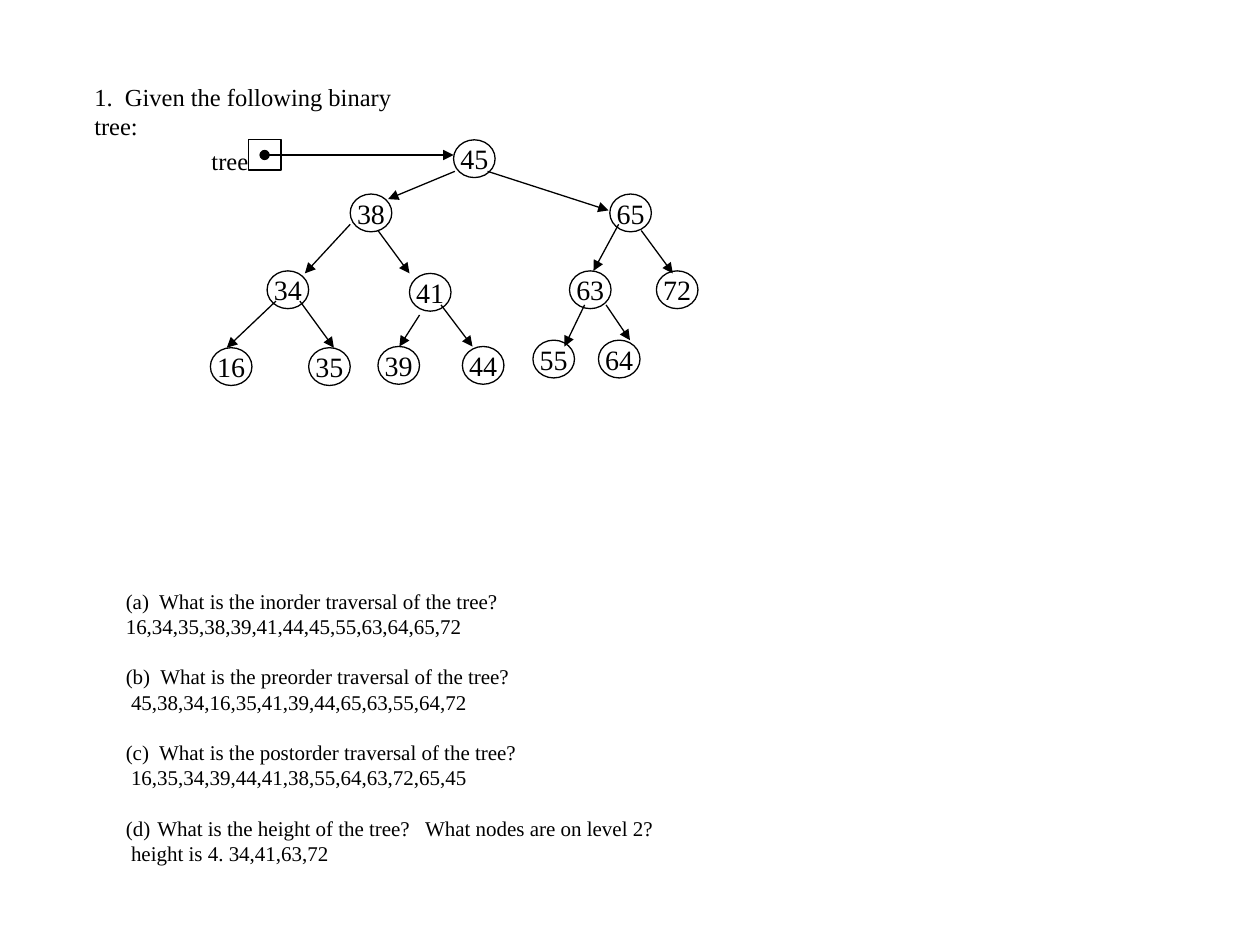
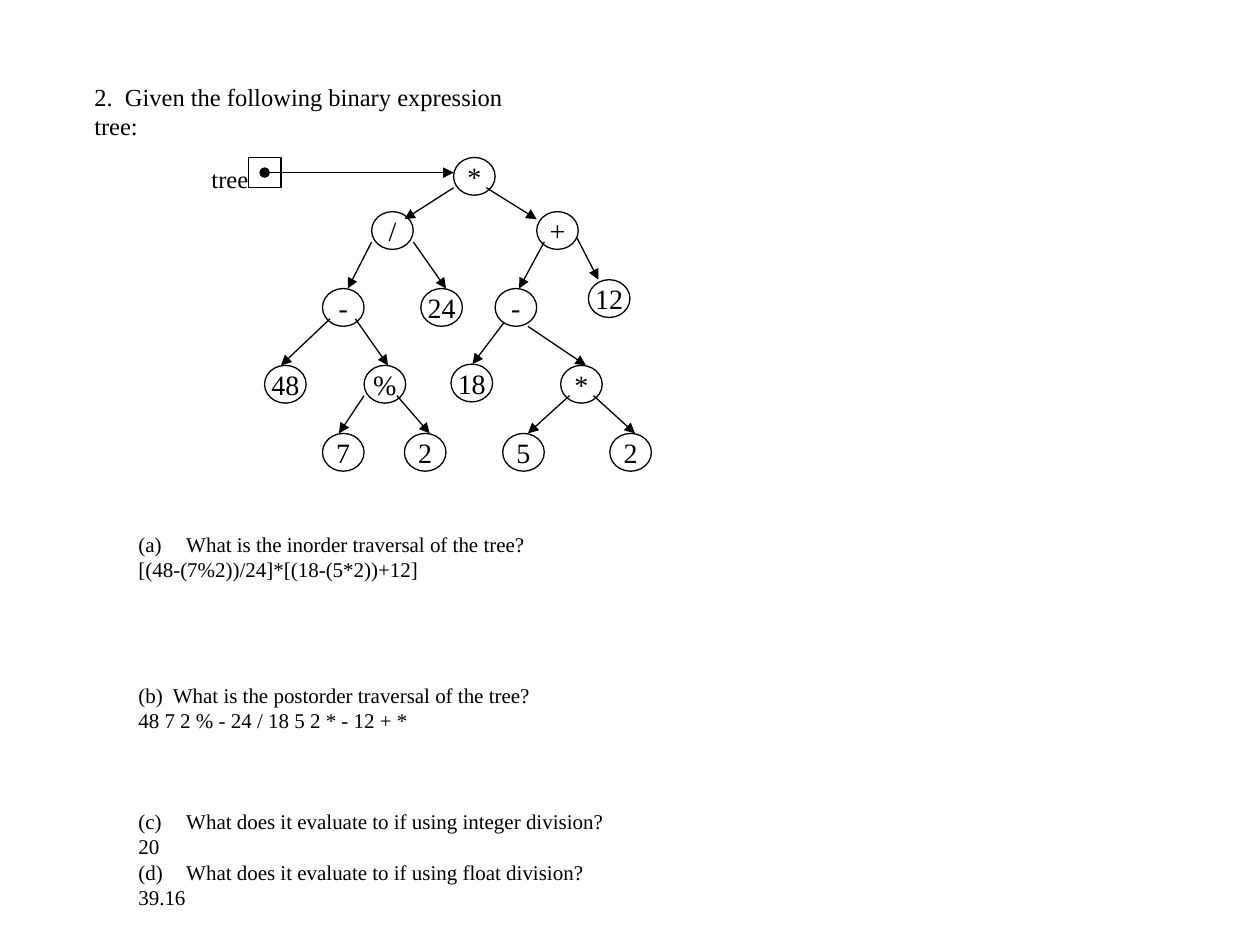
from lxml.etree import SubElement
from pptx import Presentation
from pptx.dml.color import RGBColor
from pptx.enum.shapes import MSO_CONNECTOR as Connector, MSO_SHAPE as Shape
from pptx.enum.text import MSO_ANCHOR as Anchor, PP_ALIGN as Align
from pptx.oxml.ns import qn
from pptx.util import Inches, Pt

COLORS = {"ink": "000000", "paper": "FFFFFF"}
FONT = "Times New Roman"
NODE_WIDTH, NODE_HEIGHT = 0.33, 0.3
BLANK_LINE = 14.4


class TreeSheet:
    def __init__(self, deck):
        self.deck = deck
        self.page = None

    def color(self, name):
        return RGBColor.from_string(COLORS[name])

    def new_page(self):
        self.page = self.deck.slides.add_slide(self.deck.slide_layouts[6])
        fill = self.page.background.fill
        fill.solid()
        fill.fore_color.rgb = self.color("paper")

    def style(self, para, size):
        para.font.name = FONT
        para.font.size = Pt(size)
        para.font.color.rgb = self.color("ink")

    def stroke(self, item):
        item.line.color.rgb = self.color("ink")
        item.line.width = Pt(0.75)

    def text(self, words, left, top, width, height, wrap=True):
        box = self.page.shapes.add_textbox(
            Inches(left), Inches(top), Inches(width), Inches(height))
        box.text_frame.word_wrap = wrap
        para = box.text_frame.paragraphs[0]
        para.text = words
        self.style(para, 14)

    def number(self, para, start, indent):
        props = para._p.get_or_add_pPr()
        props.set("marL", str(Inches(indent)))
        props.set("indent", str(-Inches(indent)))
        bullet = SubElement(props, qn("a:buAutoNum"), type="alphaLcParenBoth")
        if start > 1:
            bullet.set("startAt", str(start))

    def questions(self, items, left, top, width, height):
        box = self.page.shapes.add_textbox(
            Inches(left), Inches(top), Inches(width), Inches(height))
        frame = box.text_frame
        frame.word_wrap = True
        para = frame.paragraphs[0]
        for order, (question, answer, gap, indent) in enumerate(items, 1):
            if order > 1:
                para = frame.add_paragraph()
            para.text = question
            self.style(para, 12)
            if gap:
                para.space_before = Pt(gap * BLANK_LINE)
            if indent:
                self.number(para, order, indent)
            para = frame.add_paragraph()
            para.text = answer
            self.style(para, 12)

    def outline(self, kind, left, top, width, height):
        shape = self.page.shapes.add_shape(
            kind, Inches(left), Inches(top), Inches(width), Inches(height))
        shape.shadow.inherit = False
        shape.fill.background()
        self.stroke(shape)
        return shape

    def node(self, label, left, top):
        circle = self.outline(Shape.OVAL, left, top, NODE_WIDTH, NODE_HEIGHT)
        frame = circle.text_frame
        frame.word_wrap = False
        frame.vertical_anchor = Anchor.MIDDLE
        para = frame.paragraphs[0]
        para.text = label
        para.alignment = Align.CENTER
        self.style(para, 16)

    def arrow(self, start, end, dot=False):
        link = self.page.shapes.add_connector(
            Connector.STRAIGHT, *(Inches(value) for value in (*start, *end)))
        self.stroke(link)
        line = link.line._get_or_add_ln()
        if dot:
            SubElement(line, qn("a:headEnd"), type="oval")
        SubElement(line, qn("a:tailEnd"), type="triangle")
        SubElement(link._element.spPr, qn("a:effectLst"))

    def tree(self, root, top, children):
        left = 3.6
        self.node(root, left, top)
        self.outline(Shape.RECTANGLE, 1.97, top, 0.26, 0.24)
        self.text("tree", 1.58, top, 0.49, 0.33, wrap=False)
        self.arrow((2.1, top + 0.12), (left, top + 0.12), dot=True)
        for label, place, start, end in children:
            self.node(label, *place)
            self.arrow(start, end)


SEARCH_TREE = [
    ("38", (2.78, 1.54), (3.61, 1.36), (3.08, 1.58)),
    ("65", (4.84, 1.54), (3.87, 1.36), (4.83, 1.67)),
    ("34", (2.12, 2.15), (2.78, 1.78), (2.42, 2.17)),
    ("41", (3.25, 2.17), (3, 1.83), (3.25, 2.17)),
    ("63", (4.52, 2.15), (4.91, 1.78), (4.71, 2.15)),
    ("72", (5.21, 2.15), (5.09, 1.83), (5.34, 2.17)),
    ("16", (1.67, 2.76), (2.19, 2.39), (1.8, 2.76)),
    ("35", (2.45, 2.76), (2.38, 2.39), (2.65, 2.76)),
    ("39", (3, 2.75), (3.33, 2.5), (3.17, 2.75)),
    ("44", (3.67, 2.75), (3.5, 2.42), (3.75, 2.75)),
    ("55", (4.23, 2.7), (4.64, 2.42), (4.48, 2.75)),
    ("64", (4.75, 2.7), (4.81, 2.42), (5, 2.7)),
]
EXPRESSION_TREE = [
    ("/", (2.95, 1.68), (3.6, 1.49), (3.21, 1.74)),
    ("+", (4.26, 1.68), (3.86, 1.49), (4.26, 1.74)),
    ("-", (2.56, 2.29), (2.95, 1.92), (2.76, 2.29)),
    ("24", (3.34, 2.29), (3.28, 1.92), (3.54, 2.29)),
    ("-", (3.93, 2.29), (4.32, 1.92), (4.12, 2.29)),
    ("12", (4.67, 2.22), (4.58, 1.89), (4.75, 2.22)),
    ("48", (2.1, 2.9), (2.62, 2.53), (2.23, 2.9)),
    ("%", (2.89, 2.9), (2.82, 2.53), (3.08, 2.9)),
    ("18", (3.58, 2.89), (4, 2.56), (3.75, 2.89)),
    ("*", (4.45, 2.9), (4.19, 2.59), (4.65, 2.9)),
    ("7", (2.56, 3.44), (2.89, 3.14), (2.69, 3.44)),
    ("2", (3.21, 3.44), (3.15, 3.14), (3.41, 3.44)),
    ("5", (3.99, 3.44), (4.52, 3.14), (4.19, 3.44)),
    ("2", (4.84, 3.44), (4.71, 3.14), (5.04, 3.44)),
]
SEARCH_QUESTIONS = [
    ("(a)  What is the inorder traversal of the tree?",
     "16,34,35,38,39,41,44,45,55,63,64,65,72", 0, 0),
    ("(b)  What is the preorder traversal of the tree?",
     " 45,38,34,16,35,41,39,44,65,63,55,64,72", 1, 0),
    ("(c)  What is the postorder traversal of the tree?",
     " 16,35,34,39,44,41,38,55,64,63,72,65,45", 1, 0),
    ("What is the height of the tree?   What nodes are on level 2?",
     " height is 4. 34,41,63,72", 1, 0.25),
]
EXPRESSION_QUESTIONS = [
    ("What is the inorder traversal of the tree?",
     "[(48-(7%2))/24]*[(18-(5*2))+12]", 0, 0.38),
    ("(b)  What is the postorder traversal of the tree?",
     "48 7 2 % - 24 / 18 5 2 * - 12 + *", 4, 0),
    ("What does it evaluate to if using integer division?", "20", 3, 0.38),
    ("What does it evaluate to if using float division?", "39.16", 0, 0.38),
]

deck = Presentation()
deck.slide_width, deck.slide_height = Inches(10), Inches(7.5)
sheet = TreeSheet(deck)

sheet.new_page()
sheet.text("1.  Given the following binary tree:", 0.65, 0.6, 2.9, 0.33)
sheet.questions(SEARCH_QUESTIONS, 0.9, 4.62, 5.29, 2.32)
sheet.tree("45", 1.11, SEARCH_TREE)

sheet.new_page()
sheet.text("2.  Given the following binary expression tree:", 0.65, 0.6, 3.8, 0.33)
sheet.questions(EXPRESSION_QUESTIONS, 1, 4.17, 3.94, 3.3)
sheet.tree("*", 1.25, EXPRESSION_TREE)

deck.save("out.pptx")
